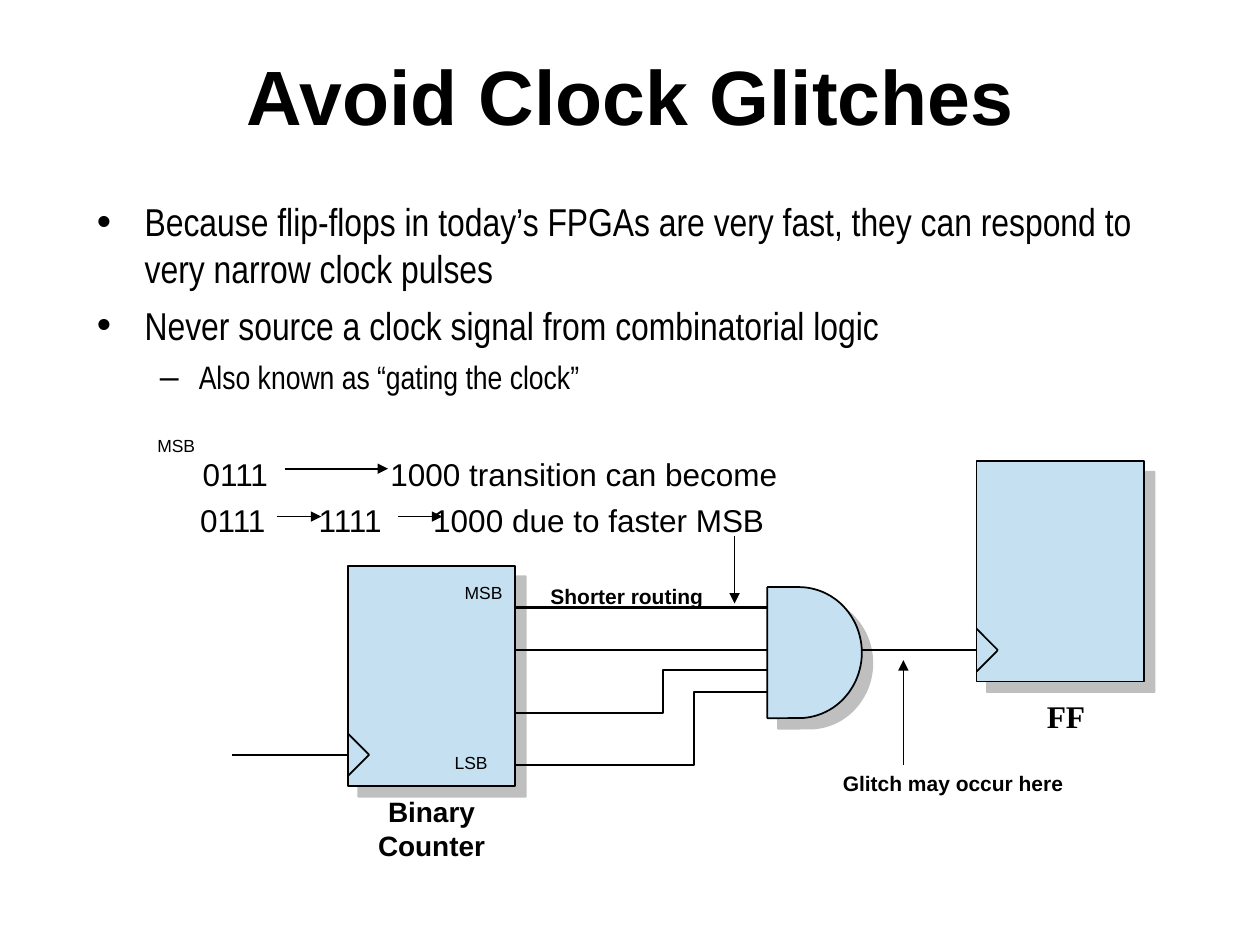
from dataclasses import dataclass
from math import cos, pi, sin

from lxml.etree import SubElement
from pptx import Presentation
from pptx.dml.color import RGBColor
from pptx.enum.shapes import MSO_CONNECTOR, MSO_SHAPE
from pptx.enum.text import MSO_ANCHOR, PP_ALIGN
from pptx.oxml.ns import qn
from pptx.util import Inches, Pt


@dataclass(frozen=True)
class Theme:
    ink: RGBColor = RGBColor(0x00, 0x00, 0x00)
    block: RGBColor = RGBColor(0xC5, 0xE1, 0xF1)
    shadow: str = "808080"
    font: str = "Arial"
    body_font: str = "Arial Narrow"
    flip_flop_font: str = "Times New Roman"
    title_size: float = 44
    bullet_size: float = 22.2
    sub_bullet_size: float = 18.5
    sequence_size: float = 18
    block_size: float = 16
    note_size: float = 12
    pin_size: float = 10
    line: float = 1
    heavy_line: float = 1.5


THEME = Theme()
BLOCK_WIDTH, BLOCK_HEIGHT = 1.33, 1.75
COUNTER_LEFT, COUNTER_TOP = 2.76, 4.49
COUNTER_RIGHT = COUNTER_LEFT + BLOCK_WIDTH
FLIP_FLOP_LEFT, FLIP_FLOP_TOP = 7.75, 3.66
GATE_LEFT, GATE_RIGHT = 6.09, 6.84
GATE_TOP, GATE_BOTTOM = 4.66, 5.7
COUNTER_CLOCK_Y, OUTPUT_Y = 5.99, 5.16


def set_font(paragraph, size, name=THEME.font, bold=False):
    font = paragraph.font
    font.size, font.name, font.bold = Pt(size), name, bold
    font.color.rgb = THEME.ink


def add_text(slide, box, lines, size, name=THEME.font, bold=False,
             align=PP_ALIGN.LEFT, wrap=False):
    shape = slide.shapes.add_textbox(*map(Inches, box))
    frame = shape.text_frame
    frame.word_wrap = wrap
    for index, line in enumerate(lines):
        paragraph = frame.paragraphs[0] if index == 0 else frame.add_paragraph()
        paragraph.text = line
        paragraph.alignment = align
        set_font(paragraph, size, name, bold)
    return shape


def add_tab_stops(paragraph, positions):
    tab_list = SubElement(paragraph._p.get_or_add_pPr(), qn("a:tabLst"))
    for position in positions:
        SubElement(tab_list, qn("a:tab"), pos=str(Inches(position)), algn="l")


def add_sequence(slide, left, top, text, stops):
    """Add a line of counter states whose columns leave room for arrows."""
    shape = slide.shapes.add_textbox(*map(Inches, (left, top, 5, 0.4)))
    shape.text_frame.word_wrap = True
    paragraph = shape.text_frame.paragraphs[0]
    paragraph.text = text
    add_tab_stops(paragraph, stops)
    set_font(paragraph, THEME.sequence_size)


def add_bullets(slide, box, items):
    frame = slide.shapes.add_textbox(*map(Inches, box)).text_frame
    frame.word_wrap = True
    styles = (
        ("•", 0.38, 0.38, 6, THEME.bullet_size),
        ("–", 0.81, 0.31, 5, THEME.sub_bullet_size),
    )
    for index, (level, text) in enumerate(items):
        mark, margin, hanging, space, size = styles[level]
        paragraph = frame.paragraphs[0] if index == 0 else frame.add_paragraph()
        paragraph.text = text
        paragraph.level = level
        if index:
            paragraph.space_before = Pt(space)
        properties = paragraph._p.get_or_add_pPr()
        properties.set("marL", str(Inches(margin)))
        properties.set("indent", str(-Inches(hanging)))
        SubElement(properties, qn("a:buSzPct"), val="105000")
        SubElement(properties, qn("a:buFont"), typeface=THEME.font)
        SubElement(properties, qn("a:buChar"), char=mark)
        set_font(paragraph, size, THEME.body_font)


def style_block(shape):
    """Give a logic block its fill, outline and offset shadow."""
    shape.fill.solid()
    shape.fill.fore_color.rgb = THEME.block
    shape.line.color.rgb = THEME.ink
    shape.line.width = Pt(THEME.line)
    shape.shadow.inherit = False
    effects = shape._element.spPr.find(qn("a:effectLst"))
    shadow = SubElement(effects, qn("a:outerShdw"), blurRad="0",
                        dist=str(Pt(8.5)), dir="2700000", algn="ctr", rotWithShape="0")
    color = SubElement(shadow, qn("a:srgbClr"), val=THEME.shadow)
    SubElement(color, qn("a:alpha"), val="50000")


def add_block(slide, left, top):
    box = map(Inches, (left, top, BLOCK_WIDTH, BLOCK_HEIGHT))
    style_block(slide.shapes.add_shape(MSO_SHAPE.RECTANGLE, *box))


def add_path(slide, points, close):
    builder = slide.shapes.build_freeform(
        Inches(points[0][0]), Inches(points[0][1]))
    builder.add_line_segments(
        [(Inches(x), Inches(y)) for x, y in points[1:]], close=close)
    return builder.convert_to_shape()


def add_and_gate(slide):
    steps = 48
    radius_x, radius_y = 0.5, (GATE_BOTTOM - GATE_TOP) / 2
    center_x, center_y = GATE_RIGHT - radius_x, GATE_TOP + radius_y
    angles = [pi * (step / steps - 0.5) for step in range(steps + 1)]
    arc = [(center_x + radius_x * cos(angle), center_y + radius_y * sin(angle))
           for angle in angles]
    outline = [(GATE_LEFT, GATE_TOP), *arc, (GATE_LEFT, GATE_BOTTOM)]
    style_block(add_path(slide, outline, close=True))


def add_line(slide, start, end, width=THEME.line, arrow=False):
    line = slide.shapes.add_connector(
        MSO_CONNECTOR.STRAIGHT, *map(Inches, (*start, *end)))
    line.line.color.rgb = THEME.ink
    line.line.width = Pt(width)
    if arrow:
        SubElement(line.line._get_or_add_ln(), qn("a:tailEnd"), type="triangle")
    SubElement(line._element.spPr, qn("a:effectLst"))


def add_stepped_wire(slide, start_y, bend_x, end_y):
    points = [(COUNTER_RIGHT, start_y), (bend_x, start_y),
              (bend_x, end_y), (GATE_LEFT, end_y)]
    wire = add_path(slide, points, close=False)
    wire.fill.background()
    wire.line.color.rgb = THEME.ink
    wire.line.width = Pt(THEME.line)
    wire.shadow.inherit = False


def add_clock_mark(slide, left, y):
    for offset in (-0.17, 0.17):
        add_line(slide, (left, y + offset), (left + 0.17, y))


def add_circuit(slide):
    add_block(slide, COUNTER_LEFT, COUNTER_TOP)
    add_block(slide, FLIP_FLOP_LEFT, FLIP_FLOP_TOP)
    add_and_gate(slide)
    add_clock_mark(slide, COUNTER_LEFT, COUNTER_CLOCK_Y)
    add_clock_mark(slide, FLIP_FLOP_LEFT, OUTPUT_Y)
    add_line(slide, (COUNTER_LEFT, COUNTER_CLOCK_Y), (1.84, COUNTER_CLOCK_Y))
    add_line(slide, (COUNTER_RIGHT, 4.82), (GATE_LEFT, 4.82), THEME.heavy_line)
    add_line(slide, (COUNTER_RIGHT, OUTPUT_Y), (GATE_LEFT, OUTPUT_Y))
    add_line(slide, (GATE_RIGHT, OUTPUT_Y), (FLIP_FLOP_LEFT, OUTPUT_Y))
    add_stepped_wire(slide, 5.66, 5.26, 5.32)
    add_stepped_wire(slide, 6.07, 5.51, 5.49)


def add_annotations(slide):
    for left, top, width, text in ((1.15, 3.4, 0.5, "MSB"),
                                   (3.59, 4.57, 0.5, "MSB"),
                                   (3.51, 5.92, 0.46, "LSB")):
        add_text(slide, (left, top, width, 0.27), [text], THEME.pin_size)
    add_text(slide, (4.27, 4.58, 1.41, 0.3), ["Shorter routing"],
             THEME.note_size, bold=True)
    add_text(slide, (6.59, 6.07, 2.18, 0.3), ["Glitch may occur here"],
             THEME.note_size, bold=True, wrap=True)
    add_text(slide, (2.9, 6.26, 1.05, 0.63), ["Binary", "Counter"],
             THEME.block_size, bold=True, align=PP_ALIGN.CENTER)
    add_text(slide, (8.21, 5.48, 0.7, 0.4), ["FF"], THEME.sequence_size,
             THEME.flip_flop_font, bold=True, wrap=True)
    add_sequence(slide, 1.51, 3.56, "0111\t1000 transition can become", [1.49])
    add_sequence(slide, 1.49, 3.93, "0111\t1111\t1000 due to faster MSB", [0.94, 1.85])
    for start, end in (((2.26, 3.72), (3.08, 3.72)),
                       ((2.2, 4.1), (2.55, 4.1)),
                       ((3.16, 4.1), (3.51, 4.1)),
                       ((5.83, 4.25), (5.83, 4.79)),
                       ((7.17, 6.07), (7.17, 5.24))):
        add_line(slide, start, end, arrow=True)


def main():
    presentation = Presentation()
    presentation.slide_width, presentation.slide_height = Inches(10), Inches(7.5)
    slide = presentation.slides.add_slide(presentation.slide_layouts[6])
    title = add_text(slide, (0.67, 0.21, 8.67, 1.08), ["Avoid Clock Glitches"],
                     THEME.title_size, bold=True, align=PP_ALIGN.CENTER, wrap=True)
    title.text_frame.vertical_anchor = MSO_ANCHOR.MIDDLE
    add_bullets(slide, (0.67, 1.52, 8.67, 1.7), [
        (0, "Because flip-flops in today’s FPGAs are very fast, "
            "they can respond to very narrow clock pulses"),
        (0, "Never source a clock signal from combinatorial logic"),
        (1, "Also known as “gating the clock”"),
    ])
    add_circuit(slide)
    add_annotations(slide)
    presentation.save("out.pptx")


if __name__ == "__main__":
    main()
